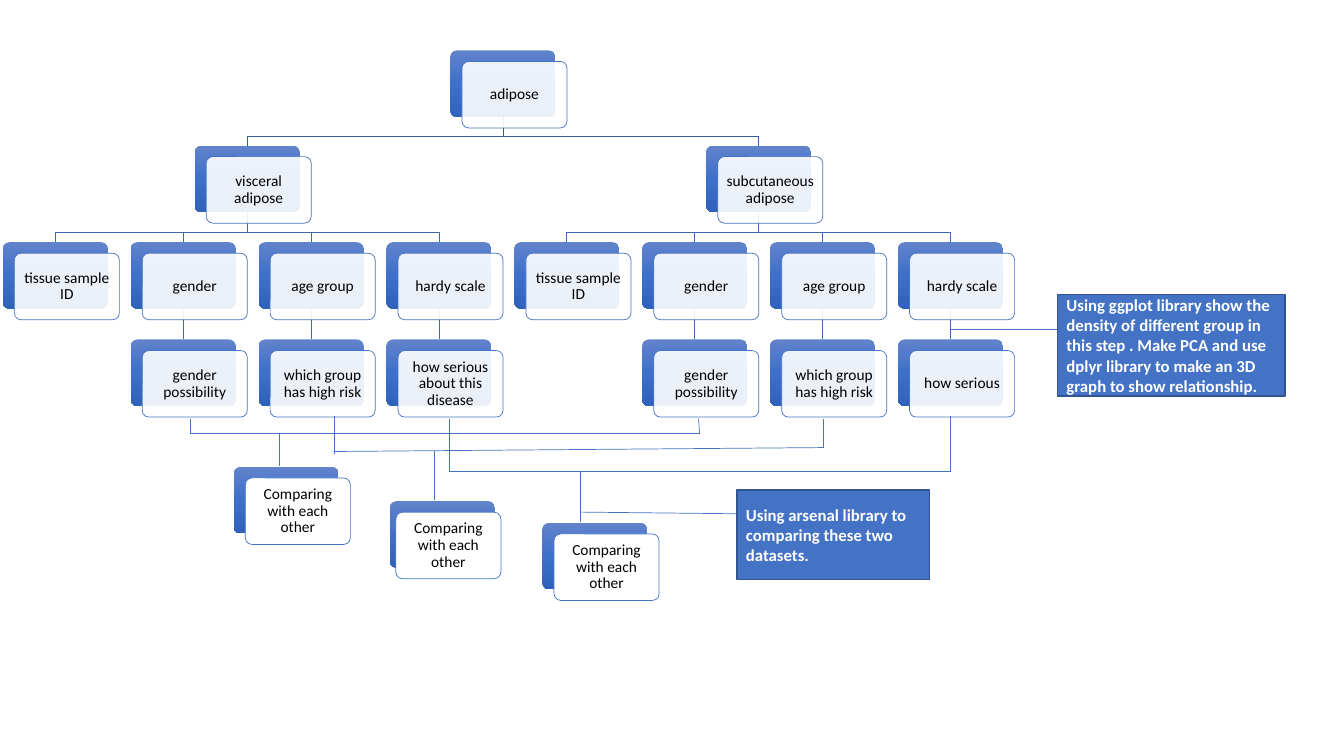
from copy import deepcopy

from lxml import etree
from pptx import Presentation
from pptx.dml.color import RGBColor
from pptx.enum.shapes import MSO_CONNECTOR, MSO_SHAPE
from pptx.enum.text import MSO_ANCHOR, PP_ALIGN
from pptx.oxml.ns import qn
from pptx.util import Pt

ROUNDED, RECTANGLE = MSO_SHAPE.ROUNDED_RECTANGLE, MSO_SHAPE.RECTANGLE
STRAIGHT = MSO_CONNECTOR.STRAIGHT
MIDDLE = MSO_ANCHOR.MIDDLE
CENTER, LEFT = PP_ALIGN.CENTER, PP_ALIGN.LEFT
color = RGBColor.from_string

FONT = "Calibri"
BLUE = "4472C4"
GRADIENT = ["6183CB", "3E70CA", "3062BB"]
CARD_WIDTH, CARD_HEIGHT = 75, 47.5
SHIFT_X, SHIFT_Y = 8.3, 7.9
FIRST_CENTER, COLUMN_PITCH = 39.5, 91.35
ROW_TOPS = [36, 104, 173, 242.5]
ELBOW_GAP = 6.7

presentation = Presentation()
presentation.slide_width, presentation.slide_height = Pt(960), Pt(540)
slide = presentation.slides.add_slide(presentation.slide_layouts[6])
shapes = slide.shapes


def draw_card(text, left, top, shift_x=SHIFT_X, opacity=90):
    """Draw a gradient card with a shifted white label card over it."""
    back = shapes.add_shape(ROUNDED, Pt(left), Pt(top), Pt(CARD_WIDTH), Pt(CARD_HEIGHT))
    back.fill.gradient()
    back.fill.gradient_angle = 270
    stop_list = back._element.spPr.find(".//" + qn("a:gsLst"))
    stop_list.insert(1, deepcopy(stop_list[0]))
    for stop, position, shade in zip(back.fill.gradient_stops, [0, 0.5, 1], GRADIENT):
        stop.position = position
        stop.color.rgb = color(shade)
    back.line.fill.background()

    front = shapes.add_shape(ROUNDED, Pt(left + shift_x), Pt(top + SHIFT_Y),
                             Pt(CARD_WIDTH), Pt(CARD_HEIGHT))
    front.fill.solid()
    front.fill.fore_color.rgb = color("FFFFFF")
    fill_color = front._element.spPr.find(qn("a:solidFill"))[0]
    etree.SubElement(fill_color, qn("a:alpha")).set("val", str(opacity * 1000))
    front.line.color.rgb = color(BLUE)
    front.line.width = Pt(0.5)
    for card in (back, front):
        card.adjustments[0] = 0.1
        card.shadow.inherit = False

    frame = front.text_frame
    frame.word_wrap = True
    frame.vertical_anchor = MIDDLE
    frame.margin_left = frame.margin_right = Pt(3)
    frame.margin_top = frame.margin_bottom = Pt(5)
    paragraph = frame.paragraphs[0]
    paragraph.alignment = CENTER
    paragraph.line_spacing = 0.9
    run = paragraph.add_run()
    run.text = text
    run.font.name, run.font.size = FONT, Pt(11)
    run.font.color.rgb = color("000000")


def draw_line(x1, y1, x2, y2, shade=BLUE):
    """Draw a thin straight line between two points."""
    line = shapes.add_connector(STRAIGHT, Pt(x1), Pt(y1), Pt(x2), Pt(y2))
    line.line.color.rgb = color(shade)
    line.line.width = Pt(0.5)
    etree.SubElement(line._element.spPr, qn("a:effectLst"))


# Tree nodes: label, column, row
nodes = [
    ("adipose", 3.5, 0),
    ("visceral adipose", 1.5, 1),
    ("subcutaneous adipose", 5.5, 1),
]
for first_column, severity in [(0, "how serious about this disease"), (4, "how serious")]:
    factors = ["tissue sample ID", "gender", "age group", "hardy scale"]
    questions = ["gender possibility", "which group has high risk", severity]
    nodes += [(label, first_column + i, 2) for i, label in enumerate(factors)]
    nodes += [(label, first_column + i, 3) for i, label in enumerate(questions, 1)]

# Branches: parent column, parent row, child columns, line colour
branches = [
    (3.5, 0, [1.5, 5.5], "365B9D"),
    (1.5, 1, [0, 1, 2, 3], "3E67B2"),
    (5.5, 1, [4, 5, 6, 7], "3E67B2"),
]
for parent_column, row, child_columns, shade in branches:
    parent_x = FIRST_CENTER + parent_column * COLUMN_PITCH
    child_top = ROW_TOPS[row + 1]
    elbow_y = child_top - ELBOW_GAP
    for column in child_columns:
        child_x = FIRST_CENTER + column * COLUMN_PITCH
        builder = shapes.build_freeform(Pt(parent_x), Pt(ROW_TOPS[row] + CARD_HEIGHT))
        builder.add_line_segments([(Pt(parent_x), Pt(elbow_y)), (Pt(child_x), Pt(elbow_y)),
                                   (Pt(child_x), Pt(child_top))], close=False)
        branch = builder.convert_to_shape()
        branch.fill.background()
        branch.line.color.rgb = color(shade)
        branch.line.width = Pt(0.5)
        branch.shadow.inherit = False

for column in [1, 2, 3, 5, 6, 7]:
    x = FIRST_CENTER + column * COLUMN_PITCH
    draw_line(x, ROW_TOPS[2] + CARD_HEIGHT, x, ROW_TOPS[3], "3E67B2")

for label, column, row in nodes:
    center = FIRST_CENTER + column * COLUMN_PITCH
    draw_card(label, center - CARD_WIDTH / 2, ROW_TOPS[row])

# Comparison cards: left, top, shift of the label card
for left, top, shift_x in [(167, 333.5, SHIFT_X), (278.5, 358, 4.3), (387.5, 373.5, SHIFT_X)]:
    draw_card("Comparing with each other", left, top, shift_x, opacity=100)

comparison_lines = [
    (136, 299, 136, 309.5), (499, 299, 499.7, 309.5),
    (136, 309.5, 499.7, 309.5), (199.5, 309.5, 199.5, 333),
    (239, 297.5, 239, 324), (588, 299, 588, 319.7),
    (238.5, 322.5, 588, 319.7), (310.5, 322.5, 310.5, 357.5),
    (321, 299, 321, 337), (679, 297.5, 679, 337),
    (321, 337, 679, 337), (414.7, 337, 414.7, 373),
]
callout_lines = [(679, 235, 756, 235), (414.7, 365.8, 526.5, 367)]
for points in comparison_lines + callout_lines:
    draw_line(*points)

callouts = [
    ("Using ggplot library show the density of different group in this step . "
     "Make PCA and use dplyr library to make an 3D graph to show relationship.",
     755.3, 210.2, 162.7, 72.7),
    ("Using arsenal library to comparing these two datasets.", 526.3, 350, 137.5, 64),
]
for text, left, top, width, height in callouts:
    callout = shapes.add_shape(RECTANGLE, Pt(left), Pt(top), Pt(width), Pt(height))
    callout.shadow.inherit = False
    callout.fill.solid()
    callout.fill.fore_color.rgb = color(BLUE)
    callout.line.color.rgb = color("325491")
    callout.line.width = Pt(1)
    frame = callout.text_frame
    frame.word_wrap = True
    frame.vertical_anchor = MIDDLE
    frame.margin_left, frame.margin_right = Pt(6.5), Pt(8)
    frame.margin_top = frame.margin_bottom = Pt(0)
    paragraph = frame.paragraphs[0]
    paragraph.alignment = LEFT
    run = paragraph.add_run()
    run.text = text
    run.font.name, run.font.size, run.font.bold = FONT, Pt(12), True
    run.font.color.rgb = color("FFFFFF")

presentation.save("out.pptx")
